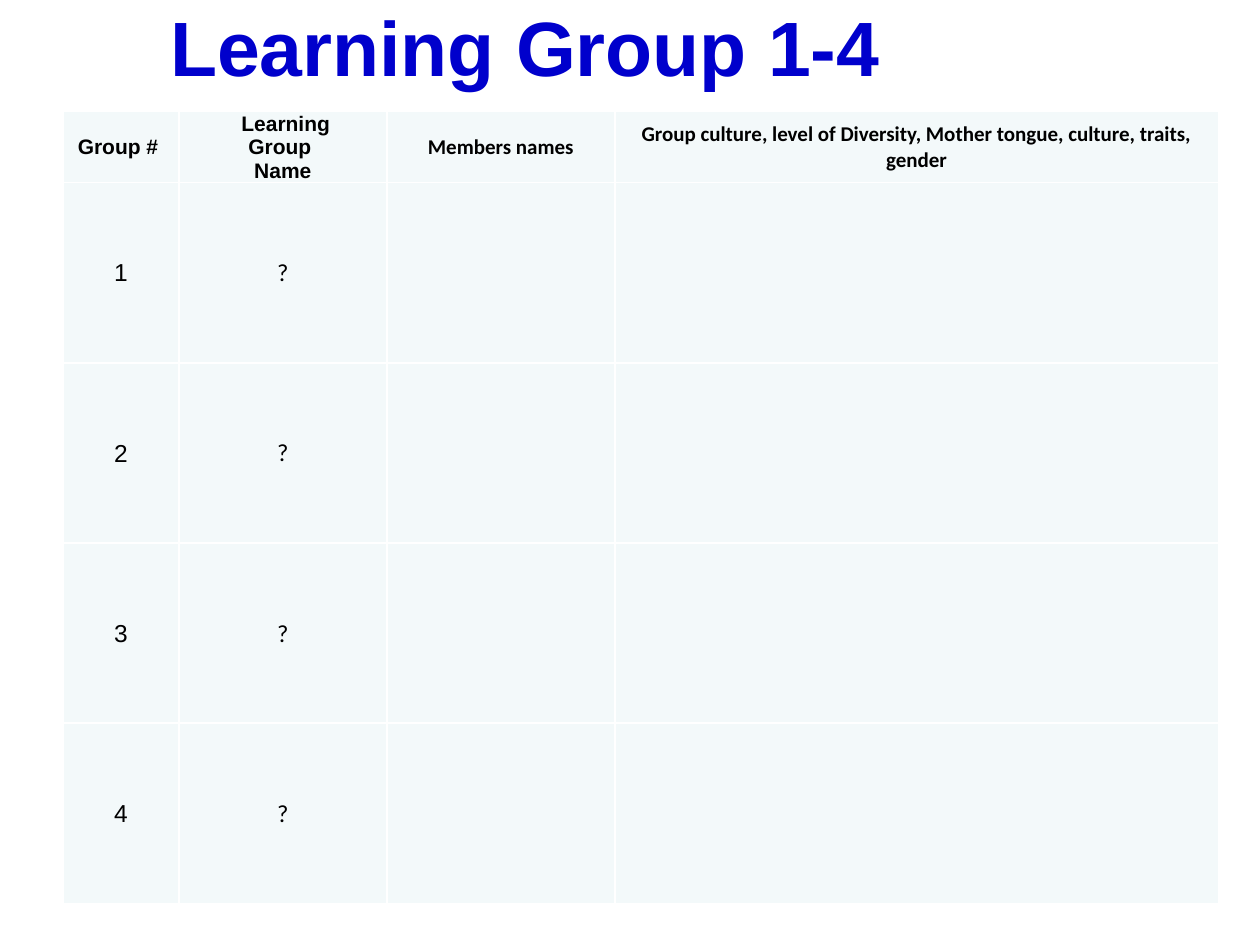
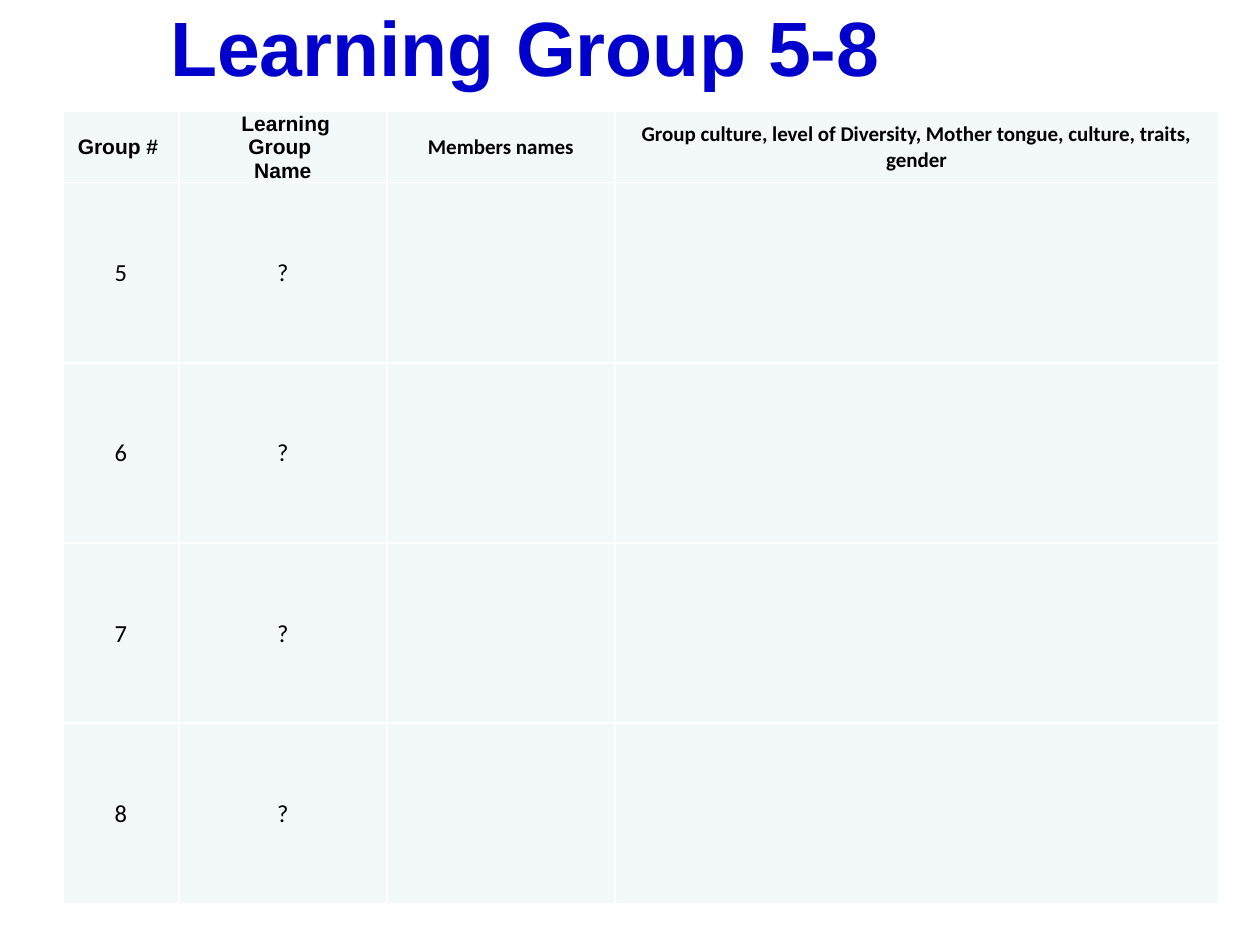
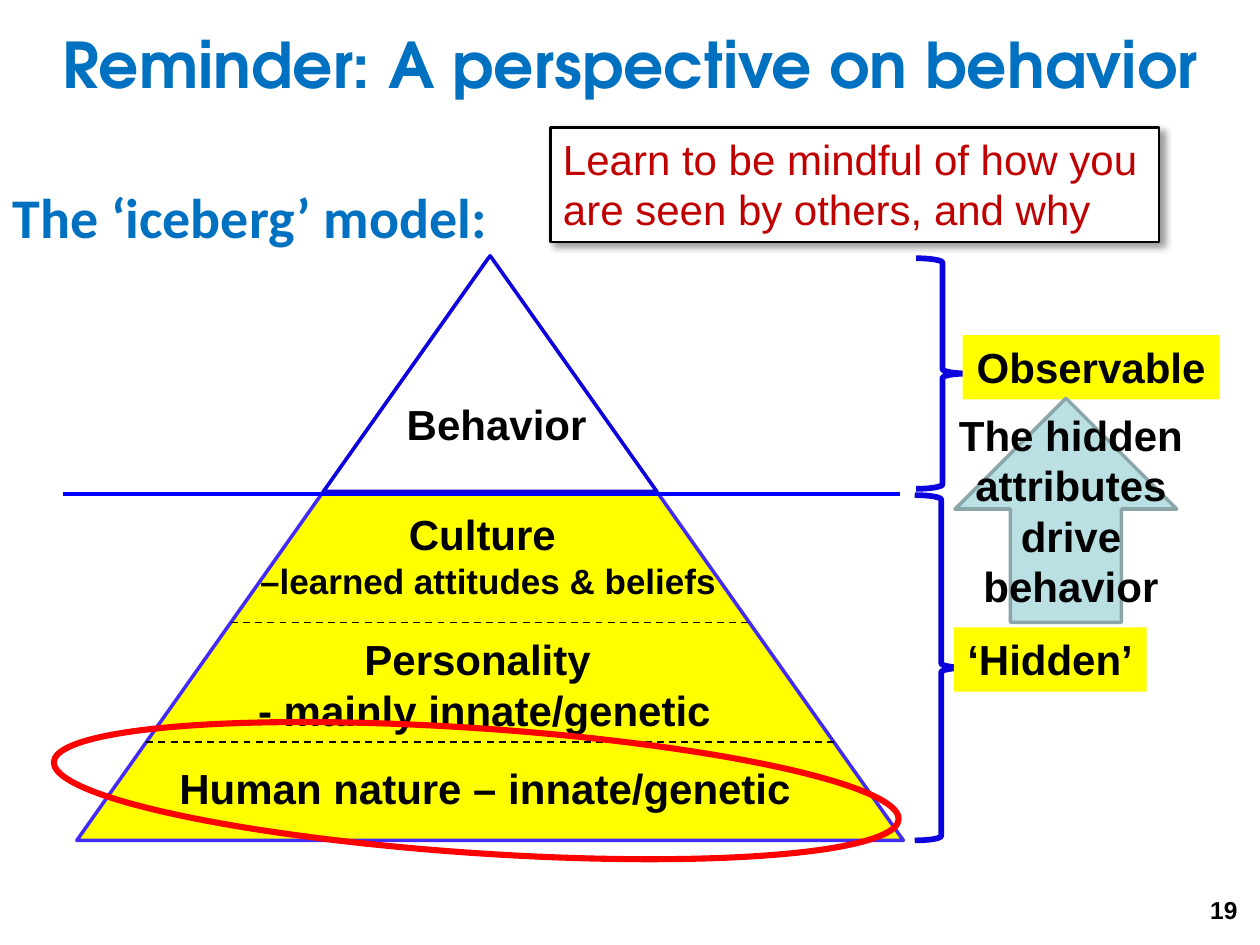
import dataclasses

import lxml.etree
import pptx
import pptx.dml.color
import pptx.enum.dml
import pptx.enum.shapes
import pptx.enum.text
import pptx.oxml
import pptx.oxml.ns
import pptx.util

Kind = pptx.enum.shapes.MSO_SHAPE
Align = pptx.enum.text.PP_ALIGN
Anchor = pptx.enum.text.MSO_ANCHOR
Pt = pptx.util.Pt
qn = pptx.oxml.ns.qn
COLS, ROWS = 10, 7.5
CELL = pptx.util.Inches(1)  # one square of the slide grid


@dataclasses.dataclass(frozen=True)
class Theme:
    black: str = "000000"
    white: str = "FFFFFF"
    navy: str = "0000CC"
    sky: str = "0070C0"
    water: str = "0000FF"
    brace: str = "0C02DE"
    edge: str = "432BF7"
    yellow: str = "FFFF00"
    red: str = "FF0000"
    wine: str = "C00000"
    pale: str = "F3F9FA"
    teal: str = "BBE0E3"
    slate: str = "8AA6A8"
    sans: str = "Arial"
    body: str = "Calibri"
    show: str = "TeX Gyre Adventor"
    huge: int = 44
    head: int = 36
    lead: int = 32
    gap: int = 28
    text: int = 24
    note: int = 20
    small: int = 14
    tiny: int = 12


T = Theme()


def span(num):
    return int(num * CELL)


def box(*nums):
    return [span(n) for n in nums]


def rgb(code):
    return pptx.dml.color.RGBColor.from_string(code)


def style(font, color=T.black, **vals):
    """Apply the default look, changed by vals, to a font."""
    look = {"name": T.sans, "size": T.text, "bold": True} | vals
    look["size"] = Pt(look["size"])
    for key, val in look.items():
        setattr(font, key, val)
    font.color.rgb = rgb(color)


def write(frame, lines, align=Align.CENTER, **look):
    """Fill a frame; each line is a text or a list of (text, size) parts."""
    para = frame.paragraphs[0]
    para.alignment = align
    for i, line in enumerate(lines):
        if i:
            para.add_line_break()
        parts = [(line, None)] if isinstance(line, str) else line
        for text, size in parts:
            run = para.add_run()
            run.text = text
            style(run.font, **(look | ({"size": size} if size else {})))


def title(deck, text, area, **look):
    """Add a title-only slide and set its title."""
    slide = deck.slides.add_slide(deck.slide_layouts[5])
    head = slide.shapes.title
    head.left, head.top, head.width, head.height = box(*area)
    frame = head.text_frame
    vals = {"auto_size": pptx.enum.text.MSO_AUTO_SIZE.NONE, "word_wrap": True,
            "vertical_anchor": Anchor.TOP}
    for key, val in vals.items():
        setattr(frame, key, val)
    write(frame, [text], **look)
    return slide


def stroke(line, color, width):
    line.color.rgb = rgb(color)
    line.width = Pt(width)


def shape(slide, kind, area, fill=None, line=None):
    item = slide.shapes.add_shape(kind, *box(*area))
    item.shadow.inherit = False
    if fill:
        item.fill.solid()
        item.fill.fore_color.rgb = rgb(fill)
    else:
        item.fill.background()
    if line:
        stroke(item.line, *line)
    else:
        item.line.fill.background()
    return item


def label(slide, area, lines, fill=None, wrap=False, line=None, **look):
    """Add text, on a filled panel when a fill is given."""
    if fill:
        item = shape(slide, Kind.RECTANGLE, area, fill, line)
    else:
        item = slide.shapes.add_textbox(*box(*area))
    frame = item.text_frame
    frame.word_wrap = wrap
    frame.vertical_anchor = Anchor.TOP
    write(frame, lines, **look)
    return item


def rule(slide, left, right, row, color, width, dash=None):
    """Draw a level line."""
    item = slide.shapes.add_connector(
        pptx.enum.shapes.MSO_CONNECTOR.STRAIGHT, *box(left, row, right, row))
    stroke(item.line, color, width)
    if dash:
        item.line.dash_style = dash
    lxml.etree.SubElement(item._element.spPr, qn("a:effectLst"))


def shade(item):
    """Cast a soft shadow to the lower right."""
    glow = item._element.spPr.find(qn("a:effectLst"))
    glow.append(pptx.oxml.parse_xml(
        f'<a:outerShdw {pptx.oxml.ns.nsdecls("a")} blurRad="{Pt(4)}" '
        f'dist="{Pt(3)}" dir="2700000"><a:srgbClr val="{T.black}">'
        '<a:alpha val="40000"/></a:srgbClr></a:outerShdw>'))


def border(cell):
    props = cell._tc.get_or_add_tcPr()
    for i, side in enumerate(("lnL", "lnR", "lnT", "lnB")):
        props.insert(i, pptx.oxml.parse_xml(
            f'<a:{side} {pptx.oxml.ns.nsdecls("a")} w="{Pt(1)}"><a:solidFill>'
            f'<a:srgbClr val="{T.white}"/></a:solidFill></a:{side}>'))


def put(cell, text, **look):
    """Format a table cell; each line of text is a paragraph."""
    vals = {"margin_left": span(0.01), "margin_right": span(0.01),
            "margin_top": span(0.01), "margin_bottom": 0,
            "vertical_anchor": Anchor.MIDDLE}
    for key, val in vals.items():
        setattr(cell, key, val)
    cell.fill.solid()
    cell.fill.fore_color.rgb = rgb(T.pale)
    border(cell)
    cell.text = text
    for para in cell.text_frame.paragraphs:
        para.alignment = Align.CENTER
        for run in para.runs:
            style(run.font, **look)


def roster(deck, first, face):
    """Add a slide with a blank table for four groups."""
    count = 4
    slide = title(deck, f"Learning Group {first}-{first + count - 1}",
                  (1.25, -0.05, 7.83, 0.38), align=Align.LEFT,
                  size=T.huge, color=T.navy)
    heads = [("Group # ", T.sans), (" Learning\nGroup \nName", T.sans),
             ("Members names", T.body),
             ("Group culture, level of Diversity, Mother tongue, culture, "
              "traits, gender", T.body)]
    wides, highs = [0.92, 1.65, 1.81, 4.79], [0.57] + [1.43] * count
    grid = slide.shapes.add_table(
        len(highs), len(wides),
        *box(0.5, 0.88, sum(wides), sum(highs))).table
    grid.first_row = grid.horz_banding = False
    for col, wide in zip(grid.columns, wides):
        col.width = span(wide)
    for row, high in zip(grid.rows, highs):
        row.height = span(high)
    for i, (text, name) in enumerate(heads):
        put(grid.cell(0, i), text, name=name, size=T.tiny)
    for i in range(count):
        marks = [(str(first + i), face), ("?", T.body), ("", face), ("", face)]
        for j, (text, name) in enumerate(marks):
            put(grid.cell(i + 1, j), text, name=name, size=T.small, bold=False)


def iceberg(slide):
    """Draw the layered pyramid, its tip above the water line."""
    mid, peak, half, high = 3.89, 2.03, 3.28, 4.64

    def reach(row):
        return half * (row - peak) / high

    shape(slide, Kind.ISOSCELES_TRIANGLE, (mid - half, peak, 2 * half, high),
          T.yellow, (T.edge, 2))
    for row in (4.94, 5.89):
        rule(slide, mid - reach(row), mid + reach(row), row, T.black, 1,
             pptx.enum.dml.MSO_LINE.DASH)
    label(slide, (0, 1.4, 7.92, 0.64), ["The ‘iceberg’ model:"], T.white, True,
          align=Align.LEFT, name=T.body, size=T.lead, color=T.sky)
    rule(slide, 0.5, 7.14, 3.92, T.water, 2.25)
    base = 3.9
    shape(slide, Kind.ISOSCELES_TRIANGLE,
          (mid - reach(base), peak, 2 * reach(base), base - peak),
          T.white, (T.brace, 2))
    label(slide, (3.13, 3.11, 1.64, 0.5), ["Behavior"], align=Align.LEFT)
    label(slide, (1.93, 4.92, 3.83, 0.98),
          [[("Personality", T.text), (" ", T.gap)], "- mainly innate/genetic"])
    label(slide, (1.58, 3.99, 4.59, 0.84),
          ["Culture ", [("–learned attitudes & beliefs", T.note)]], wrap=True)
    label(slide, (1.3, 6, 5.1, 0.51), ["Human nature – innate/genetic"])


def sides(slide):
    """Mark what is seen and what is hidden."""
    for area in ((7.27, 2.05, 0.42, 1.83), (7.26, 3.93, 0.42, 2.74)):
        shape(slide, Kind.RIGHT_BRACE, area, line=(T.brace, 3.25))
    label(slide, (7.64, 2.66, 2.04, 0.51), ["Observable"], T.yellow)
    label(slide, (7.57, 4.98, 1.53, 0.51), ["‘Hidden’"], T.yellow)
    shape(slide, Kind.UP_ARROW, (7.58, 3.16, 1.76, 1.78), T.teal, (T.slate, 2))
    label(slide, (7.27, 3.2, 2.46, 1.72),
          ["The hidden attributes drive behavior"], wrap=True)


def model(deck):
    slide = title(deck, "Reminder: A perspective on behavior",
                  (0, 0.15, COLS, 1.25), name=T.show, size=T.head, color=T.sky)
    iceberg(slide)
    sides(slide)
    shade(label(slide, (4.37, 1.01, 4.83, 0.91),
                ["Learn to be mindful of how you are seen by others, and why"],
                T.white, True, (T.black, 1.5), align=Align.LEFT, bold=False,
                color=T.wine))
    label(slide, (9.34, 7.05, 0.58, 0.45), ["19"], wrap=True,
          align=Align.RIGHT, size=T.small)
    ring = shape(slide, Kind.OVAL, (0.42, 5.78, 6.72, 0.99), line=(T.red, 3.5))
    ring.rotation = 3.9


def main():
    deck = pptx.Presentation()
    deck.slide_width, deck.slide_height = box(COLS, ROWS)
    roster(deck, 1, T.sans)
    roster(deck, 5, T.body)
    model(deck)
    deck.save("out.pptx")


if __name__ == "__main__":
    main()
